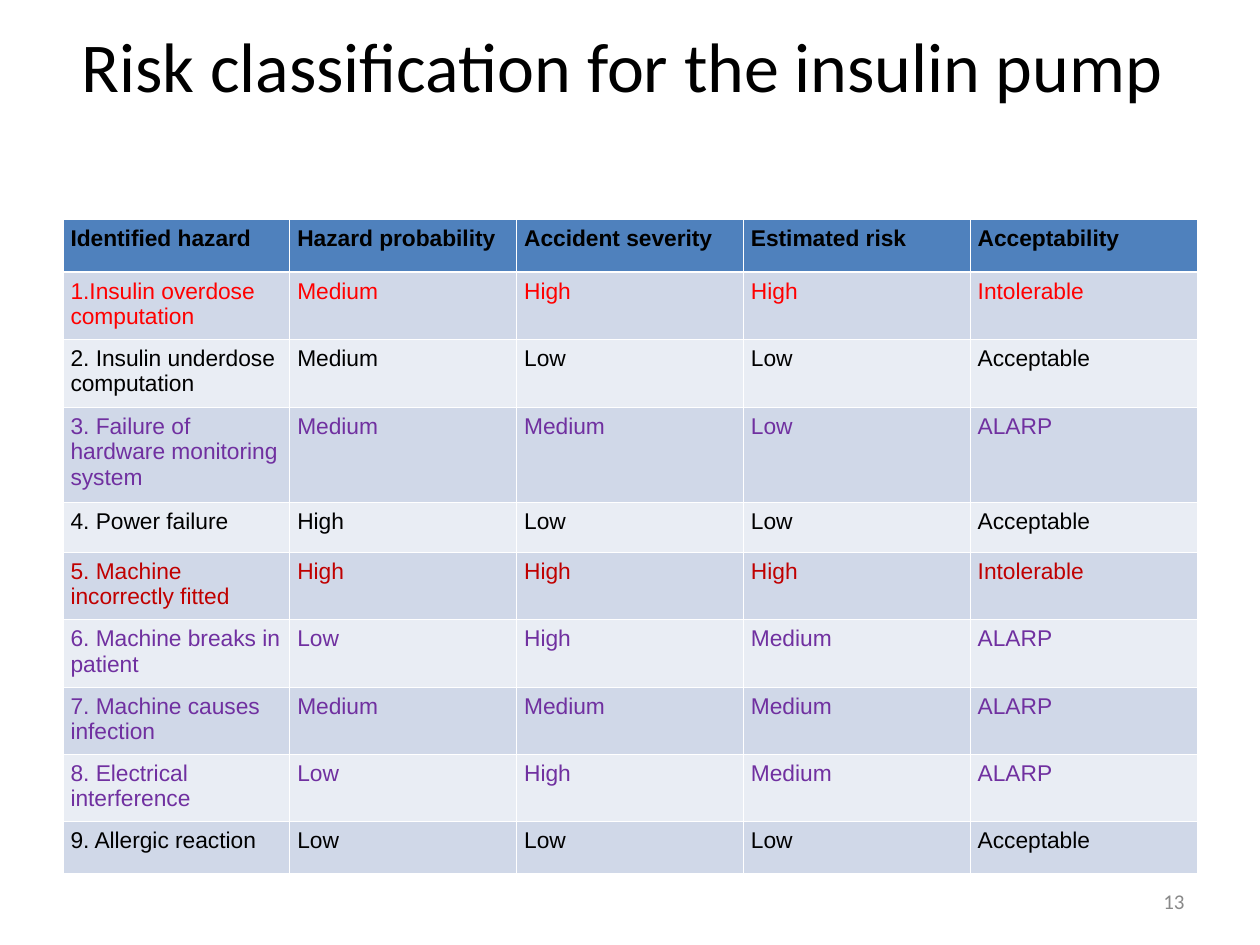
"""Build the risk classification slide for the insulin pump."""
from dataclasses import dataclass

from lxml import etree
from pptx import Presentation
from pptx.dml.color import RGBColor
from pptx.enum.text import MSO_ANCHOR, PP_ALIGN
from pptx.oxml.ns import qn
from pptx.util import Inches, Pt

MIDDLE = MSO_ANCHOR.MIDDLE
LEFT, CENTER, RIGHT, JUSTIFY = (
    PP_ALIGN.LEFT, PP_ALIGN.CENTER, PP_ALIGN.RIGHT, PP_ALIGN.JUSTIFY)
SLIDE_WIDTH, SLIDE_HEIGHT = Inches(10), Inches(7.5)
COLUMN_COUNT = 5
ROW_INCHES = (0.42, 0.53, 0.54, 0.75, 0.4, 0.53, 0.53, 0.53, 0.53, 0.41)


@dataclass(frozen=True)
class Theme:
    """Colours, fonts and type sizes of the slide."""
    black: str = "000000"
    red: str = "FF0000"
    dark_red: str = "C00000"
    purple: str = "7030A0"
    grey: str = "898989"
    header_fill: str = "4F81BD"
    band_fills: tuple[str, str] = ("D0D8E8", "E9EDF4")
    rule: str = "FFFFFF"
    thin_rule: float = 0.45
    thick_rule: float = 1.47
    heading_font: str = "Calibri"
    table_font: str = "Arial"
    title_size: float = 40
    table_size: float = 13
    number_size: float = 12


@dataclass(frozen=True)
class Area:
    """A rectangle in shares of the slide's width and height."""
    left: float
    top: float
    width: float
    height: float

    def lengths(self) -> tuple[int, int, int, int]:
        """Return left, top, width and height as slide lengths."""
        return (int(self.left * SLIDE_WIDTH), int(self.top * SLIDE_HEIGHT),
                int(self.width * SLIDE_WIDTH), int(self.height * SLIDE_HEIGHT))


@dataclass(frozen=True)
class TextStyle:
    """The look of one paragraph."""
    font: str
    size: float
    color: str
    align: PP_ALIGN
    bold: bool = False


@dataclass(frozen=True)
class Hazard:
    """One table row with its text colour."""
    color: str
    cells: tuple[str, str, str, str, str]


THEME = Theme()
TITLE_AREA = Area(0.05, -0.015, 0.9, 0.167)
TABLE_AREA = Area(0.05, 0.232, 0.9, 0.69)
NUMBER_AREA = Area(0.717, 0.927, 0.233, 0.053)
HEADER = ("Identified hazard", "Hazard probability", "Accident severity",
          "Estimated risk", "Acceptability")
HAZARDS = (
    Hazard(THEME.red, ("1.Insulin overdose computation",
                       "Medium", "High", "High", "Intolerable")),
    Hazard(THEME.black, ("2. Insulin underdose computation",
                         "Medium", "Low", "Low", "Acceptable")),
    Hazard(THEME.purple, ("3. Failure of hardware monitoring system",
                          "Medium", "Medium", "Low", "ALARP")),
    Hazard(THEME.black, ("4. Power failure",
                         "High", "Low", "Low", "Acceptable")),
    Hazard(THEME.dark_red, ("5. Machine incorrectly fitted",
                            "High", "High", "High", "Intolerable")),
    Hazard(THEME.purple, ("6. Machine breaks in patient",
                          "Low", "High", "Medium", "ALARP")),
    Hazard(THEME.purple, ("7. Machine causes infection",
                          "Medium", "Medium", "Medium", "ALARP")),
    Hazard(THEME.purple, ("8. Electrical interference",
                          "Low", "High", "Medium", "ALARP")),
    Hazard(THEME.black, ("9. Allergic reaction",
                         "Low", "Low", "Low", "Acceptable")),
)


def apply_format(target, values: dict) -> None:
    """Set each named attribute on the target."""
    for name, value in values.items():
        setattr(target, name, value)


def write_text(frame, text: str, style: TextStyle) -> None:
    """Write one styled paragraph into a text frame."""
    para = frame.paragraphs[0]
    para.alignment = style.align
    span = para.add_run()
    span.text = text
    apply_format(span.font, {"name": style.font, "size": Pt(style.size),
                             "bold": style.bold})
    span.font.color.rgb = RGBColor.from_string(style.color)


def add_text(page, area: Area, text: str, style: TextStyle) -> None:
    """Add a wrapped, vertically centred text box."""
    frame = page.shapes.add_textbox(*area.lengths()).text_frame
    apply_format(frame, {"word_wrap": True, "vertical_anchor": MIDDLE})
    write_text(frame, text, style)


def draw_borders(cell, top: float, bottom: float) -> None:
    """Rule the four sides of a cell, ahead of its fill."""
    widths = {"a:lnL": THEME.thin_rule, "a:lnR": THEME.thin_rule,
              "a:lnT": top, "a:lnB": bottom}
    properties = cell._tc.get_or_add_tcPr()
    for position, (tag, width) in enumerate(widths.items()):
        line = etree.Element(qn(tag), w=str(int(Pt(width))))
        fill = etree.SubElement(line, qn("a:solidFill"))
        etree.SubElement(fill, qn("a:srgbClr"), val=THEME.rule)
        properties.insert(position, line)


def fill_row(table, row: int, texts: tuple[str, ...], color: str) -> None:
    """Write, fill and rule all cells of one table row."""
    is_header = row == 0
    fill = THEME.header_fill if is_header else THEME.band_fills[(row - 1) % 2]
    top = THEME.thick_rule if row == 1 else THEME.thin_rule
    bottom = THEME.thick_rule if is_header else THEME.thin_rule
    for column, text in enumerate(texts):
        cell = table.cell(row, column)
        apply_format(cell, {"margin_left": Inches(0.06), "margin_right": Inches(0.06),
                            "margin_top": Inches(0.05), "margin_bottom": Inches(0.05)})
        cell.fill.solid()
        cell.fill.fore_color.rgb = RGBColor.from_string(fill)
        align = JUSTIFY if is_header or column else LEFT
        write_text(cell.text_frame, text, TextStyle(
            THEME.table_font, THEME.table_size, color, align, is_header))
        draw_borders(cell, top, bottom)


def add_risk_table(page) -> None:
    """Add the table of hazards with equal columns."""
    table = page.shapes.add_table(
        len(ROW_INCHES), COLUMN_COUNT, *TABLE_AREA.lengths()).table
    for row, height in zip(table.rows, ROW_INCHES):
        row.height = Inches(height)
    fill_row(table, 0, HEADER, THEME.black)
    for row, hazard in enumerate(HAZARDS, start=1):
        fill_row(table, row, hazard.cells, hazard.color)


def main() -> None:
    """Build and save the deck."""
    deck = Presentation()
    apply_format(deck, {"slide_width": SLIDE_WIDTH, "slide_height": SLIDE_HEIGHT})
    page = deck.slides.add_slide(deck.slide_layouts[6])
    add_text(page, TITLE_AREA, "Risk classification for the insulin pump ",
             TextStyle(THEME.heading_font, THEME.title_size, THEME.black, CENTER))
    add_risk_table(page)
    add_text(page, NUMBER_AREA, "13",
             TextStyle(THEME.heading_font, THEME.number_size, THEME.grey, RIGHT))
    deck.save("out.pptx")


if __name__ == "__main__":
    main()
